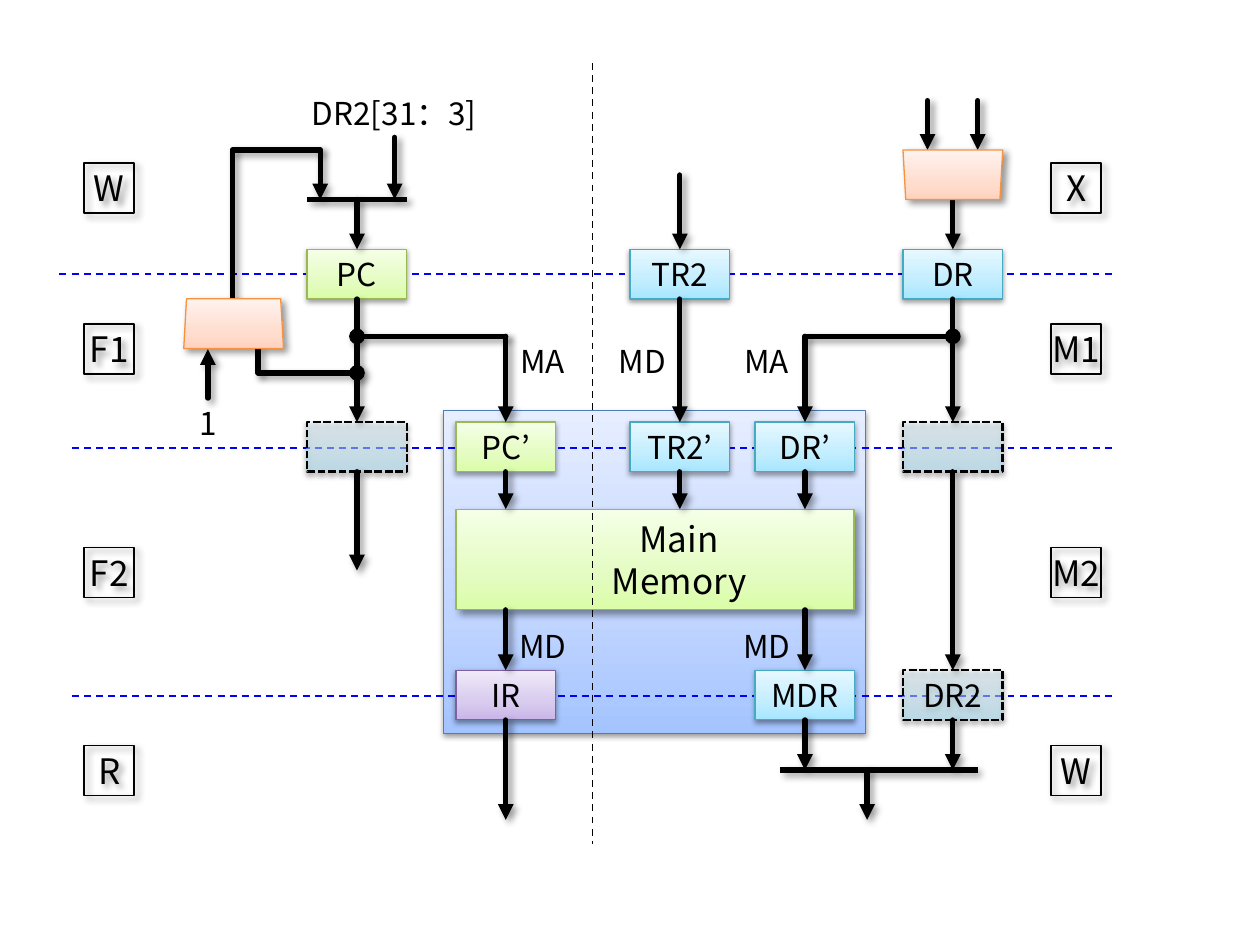
from lxml import etree
from pptx import Presentation
from pptx.dml.color import RGBColor
from pptx.enum.dml import MSO_LINE
from pptx.enum.shapes import MSO_CONNECTOR, MSO_SHAPE
from pptx.enum.text import MSO_ANCHOR, PP_ALIGN
from pptx.oxml.ns import nsdecls, qn
from pptx.util import Pt

RECTANGLE = MSO_SHAPE.RECTANGLE
STRAIGHT = MSO_CONNECTOR.STRAIGHT
DASH = MSO_LINE.DASH
SQUARE_DOT = MSO_LINE.SQUARE_DOT
MIDDLE = MSO_ANCHOR.MIDDLE
CENTER = PP_ALIGN.CENTER

FONT = "Noto Sans CJK JP"
COLORS = {"black": "000000", "stage_line": "0000FF"}
STYLES = {
    "panel": (("A4C4FF", "BFD4FF", "E6EEFF"), "4B7EBC"),
    "blue": (("A7E6FF", "C1EDFF", "E7F8FF"), "46AAC5"),
    "green": (("DAFDA7", "E4FCC2", "F5FFE7"), "98B955"),
    "purple": (("C9B5E8", "D8CBEE", "F0EAF9"), "7D60A0"),
    "orange": (("FFD2BD", "FFDED0", "FFF2ED"), "F69240"),
    "ghost": (("A7E6FF", "C1EDFF", "E7F8FF"), "000000"),
}
STOPS = (0, 35, 100)
DEEP_SHADOW = (40, 4, 3, 45)
SOFT_SHADOW = (38, 3.1, 1.6, 90)

PC_X, FETCH_X, TR_X, LOAD_X, DR_X = 204, 289, 388.5, 460, 544.5
TOP_ROW, MIDDLE_ROW, BOTTOM_ROW = 142.5, 241.2, 383
REGISTER_WIDTH, REGISTER_HEIGHT = 57, 28.4
MEMORY_TOP, MEMORY_BOTTOM = 291, 348.5
TAP_Y, RETURN_Y = 192.2, 213.1
FEEDBACK_Y, SELECT_Y, WRITE_Y, EXIT_Y = 85.7, 114, 440, 468.5
TOP, BOTTOM = 0, 2


def add_xml(parent, tag, content=""):
    parent.append(etree.fromstring(f"<a:{tag} {nsdecls('a')}>{content}</a:{tag}>"))


def add_shadow(shape, shadow=None):
    content = ""
    if shadow:
        alpha, blur, distance, angle = shadow
        content = (
            f'<a:outerShdw blurRad="{Pt(blur)}" dist="{Pt(distance)}" '
            f'dir="{angle * 60000}" rotWithShape="0">'
            f'<a:srgbClr val="{COLORS["black"]}"><a:alpha val="{alpha * 1000}"/>'
            "</a:srgbClr></a:outerShdw>"
        )
    add_xml(shape._element.spPr, "effectLst", content)


def set_line(shape, color, width, dash=None):
    shape.line.color.rgb = RGBColor.from_string(color)
    shape.line.width = Pt(width)
    if dash is not None:
        shape.line.dash_style = dash


def paint(shape, style, shadow):
    colors, outline = STYLES[style]
    ghost = style == "ghost"
    alpha = '<a:alpha val="50000"/>' if ghost else ""
    stops = "".join(
        f'<a:gs pos="{stop * 1000}"><a:srgbClr val="{color}">{alpha}</a:srgbClr></a:gs>'
        for stop, color in zip(STOPS, colors)
    )
    add_xml(shape._element.spPr, "gradFill",
            f'<a:gsLst>{stops}</a:gsLst><a:lin ang="16200000" scaled="0"/>')
    set_line(shape, outline, 1.5 if ghost else 0.75, SQUARE_DOT if ghost else None)
    add_shadow(shape, shadow)


def write(shape, text, size):
    frame = shape.text_frame
    frame.text = text
    frame.word_wrap = False
    frame.vertical_anchor = MIDDLE
    for para in frame.paragraphs:
        para.alignment = CENTER
        for span in para.runs:
            span.font.size = Pt(size)
            span.font.name = FONT
            span.font.color.rgb = RGBColor.from_string(COLORS["black"])
            etree.SubElement(span._r.get_or_add_rPr(), qn("a:ea"), typeface=FONT)


def add_rectangle(page, left, top, width, height):
    return page.shapes.add_shape(RECTANGLE, Pt(left), Pt(top), Pt(width), Pt(height))


def add_box(page, left, top, width, height, style, shadow=DEEP_SHADOW):
    box = add_rectangle(page, left, top, width, height)
    paint(box, style, shadow)
    return box


def add_register(page, center, top, style, text=""):
    box = add_box(page, center - REGISTER_WIDTH / 2, top,
                  REGISTER_WIDTH, REGISTER_HEIGHT, style, SOFT_SHADOW)
    if text:
        write(box, text, 18)
    return box


def add_stage(page, left, top, text):
    box = add_rectangle(page, left, top, 28.6, 28.6)
    box.fill.background()
    set_line(box, COLORS["black"], 1)
    add_shadow(box, DEEP_SHADOW)
    write(box, text, 20)


def add_label(page, left, top, text, width=28.4, height=28.4, size=18):
    box = add_rectangle(page, left, top, width, height)
    box.fill.background()
    box.line.fill.background()
    box.shadow.inherit = False
    write(box, text, size)


def add_adder(page, left, top, top_inset, bottom_inset):
    right, bottom = left + REGISTER_WIDTH, top + REGISTER_HEIGHT
    corners = [(left + top_inset, top), (left + bottom_inset, bottom),
               (right - bottom_inset, bottom), (right - top_inset, top)]
    points = [(Pt(x), Pt(y)) for x, y in corners]
    builder = page.shapes.build_freeform(*points[0])
    builder.add_line_segments(points[1:], close=True)
    paint(builder.convert_to_shape(), "orange", DEEP_SHADOW)


def add_guide(page, start, end, color):
    guide = page.shapes.add_connector(STRAIGHT, *map(Pt, start + end))
    set_line(guide, color, 1, DASH)
    add_shadow(guide)


def add_wire(page, start, end, tip="triangle"):
    wire = page.shapes.add_connector(STRAIGHT, 0, 0, 0, 0)
    if isinstance(start[0], (int, float)):
        wire.begin_x, wire.begin_y = map(Pt, start)
    else:
        wire.begin_connect(*start)
    if isinstance(end[0], (int, float)):
        wire.end_x, wire.end_y = map(Pt, end)
    else:
        wire.end_connect(*end)
    set_line(wire, COLORS["black"], 3)
    line = wire._element.spPr.find(qn("a:ln"))
    line.set("cap", "rnd")
    if tip:
        etree.SubElement(line, qn("a:tailEnd"), type=tip)
    add_shadow(wire, DEEP_SHADOW)


def add_wires(page, registers):
    pc, tr, dr, pc_ghost, pc_copy, tr_copy, dr_copy, dr_ghost, ir, mdr, dr2 = registers
    for start, end in [
        ((225.5, 78.5), (225.5, SELECT_Y)),
        ((183, FEEDBACK_Y), (183, SELECT_Y)),
        ((PC_X, SELECT_Y), (pc, TOP)),
        ((pc, BOTTOM), (pc_ghost, TOP)),
        ((pc_ghost, BOTTOM), (PC_X, 326)),
        ((118.8, 227.5), (118.8, 199.5)),
        ((FETCH_X, TAP_Y), (pc_copy, TOP)),
        ((pc_copy, BOTTOM), (FETCH_X, MEMORY_TOP)),
        ((FETCH_X, MEMORY_BOTTOM), (ir, TOP)),
        ((ir, BOTTOM), (FETCH_X, EXIT_Y)),
        ((TR_X, 100), (tr, TOP)),
        ((tr, BOTTOM), (tr_copy, TOP)),
        ((tr_copy, BOTTOM), (TR_X, MEMORY_TOP)),
        ((LOAD_X, TAP_Y), (dr_copy, TOP)),
        ((dr_copy, BOTTOM), (LOAD_X, MEMORY_TOP)),
        ((LOAD_X, MEMORY_BOTTOM), (mdr, TOP)),
        ((mdr, BOTTOM), (LOAD_X, WRITE_Y)),
        ((530, 57.5), (530, FEEDBACK_Y)),
        ((558.7, 57.5), (558.7, FEEDBACK_Y)),
        ((DR_X, SELECT_Y), (dr, TOP)),
        ((dr, BOTTOM), (dr_ghost, TOP)),
        ((dr_ghost, BOTTOM), (dr2, TOP)),
        ((dr2, BOTTOM), (DR_X, WRITE_Y)),
        ((495.5, WRITE_Y), (495.5, EXIT_Y)),
    ]:
        add_wire(page, start, end)
    for left, right, y, tip_side in [(PC_X, FETCH_X, TAP_Y, 0), (LOAD_X, DR_X, TAP_Y, 1),
                                     (147.5, PC_X, RETURN_Y, 1)]:
        ends = [(left, y), (right, y)]
        add_wire(page, ends[1 - tip_side], ends[tip_side], "oval")
    for start, end in [((133, 170.6), (133, FEEDBACK_Y)),
                       ((133, FEEDBACK_Y), (183, FEEDBACK_Y)),
                       ((147.5, 199.5), (147.5, RETURN_Y))]:
        add_wire(page, start, end, None)
    for left, right, y in [(175.7, 232.5, SELECT_Y), (445.7, 558.7, WRITE_Y)]:
        bar = page.shapes.add_connector(STRAIGHT, Pt(left), Pt(y), Pt(right), Pt(y))
        set_line(bar, COLORS["black"], 3)
        add_shadow(bar, DEEP_SHADOW)


def main():
    deck = Presentation()
    deck.slide_width, deck.slide_height = Pt(720), Pt(540)
    page = deck.slides.add_slide(deck.slide_layouts[6])

    add_box(page, 253.4, 234.7, 241.2, 184.3, "panel", SOFT_SHADOW)
    for left, y in [(34, 156.4), (41, 255.8), (41, 397.6)]:
        add_guide(page, (left, y), (636.5, y), COLORS["stage_line"])
    add_box(page, 260.6, MEMORY_TOP, 227.5, MEMORY_BOTTOM - MEMORY_TOP, "green")
    add_label(page, 345.6, MEMORY_TOP, "Main\nMemory", 85, 57, 20)
    add_guide(page, (338.6, 36), (338.6, 482.4), COLORS["black"])

    registers = [add_register(page, *register) for register in [
        (PC_X, TOP_ROW, "green", "PC"),
        (TR_X, TOP_ROW, "blue", "TR2"),
        (DR_X, TOP_ROW, "blue", "DR"),
        (PC_X, MIDDLE_ROW, "ghost"),
        (FETCH_X, MIDDLE_ROW, "green", "PC’"),
        (TR_X, MIDDLE_ROW, "blue", "TR2’"),
        (LOAD_X, MIDDLE_ROW, "blue", "DR’"),
        (DR_X, MIDDLE_ROW, "ghost"),
        (FETCH_X, BOTTOM_ROW, "purple", "IR"),
        (LOAD_X, BOTTOM_ROW, "blue", "MDR"),
        (DR_X, BOTTOM_ROW, "ghost", "DR2"),
    ]]
    add_wires(page, registers)
    add_adder(page, 516, FEEDBACK_Y, 0, 1.6)
    add_adder(page, 105, 170.8, 1.6, 0)

    for top, left_stage, right_stage in [(93, "W", "X"), (185, "F1", "M1"),
                                         (312.8, "F2", "M2"), (426, "R", "W")]:
        add_stage(page, 48.1, top, left_stage)
        add_stage(page, 600.6, top, right_stage)
    for left, top, text in [
        (211, 50.4, "DR2[31：3]"), (105, 227.5, "1"),
        (296, 192.2, "MA"), (352.8, 192.2, "MD"), (424, 192.2, "MA"),
        (296, 355, "MD"), (424, 355, "MD"),
    ]:
        add_label(page, left, top, text)
    deck.save("out.pptx")


if __name__ == "__main__":
    main()
